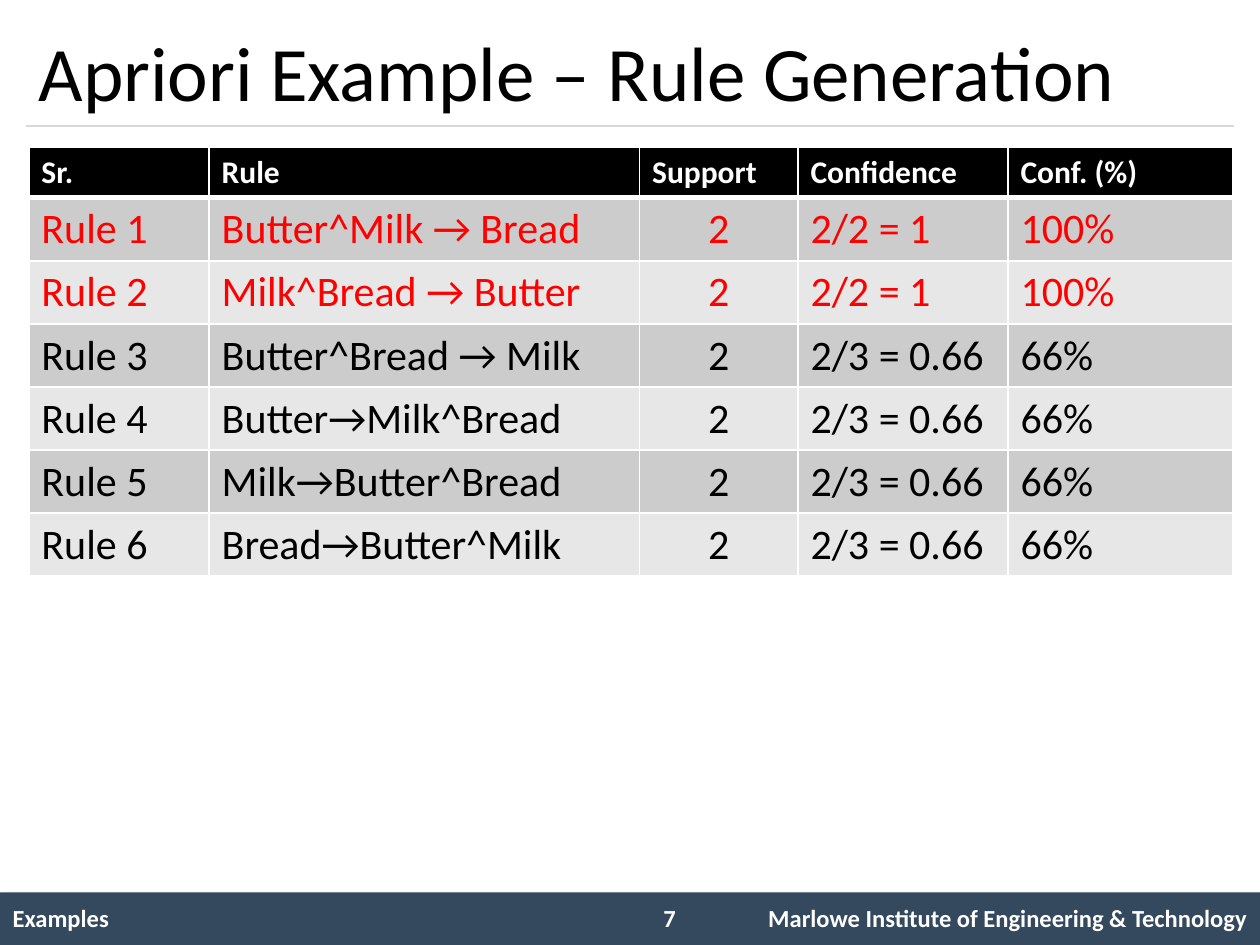
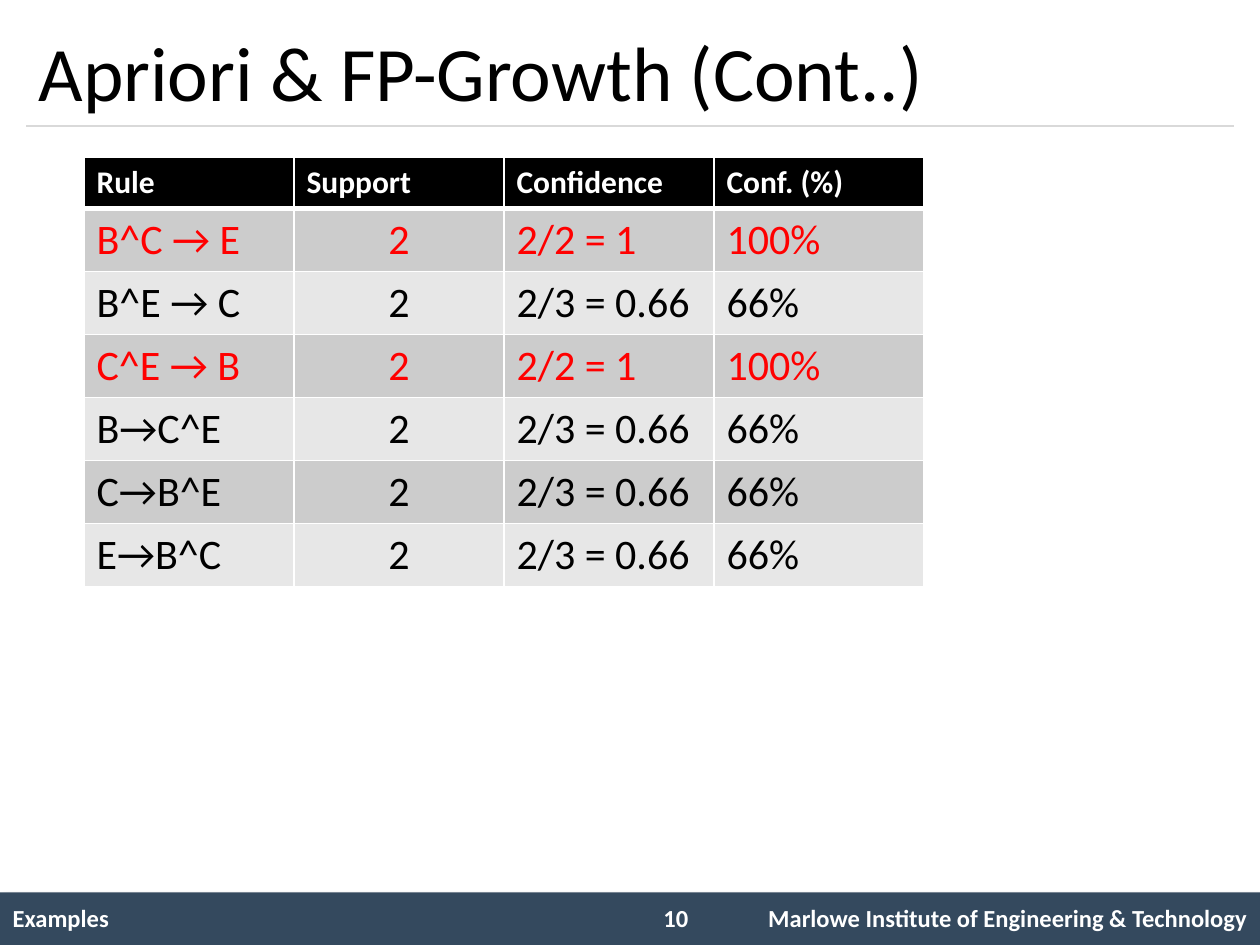
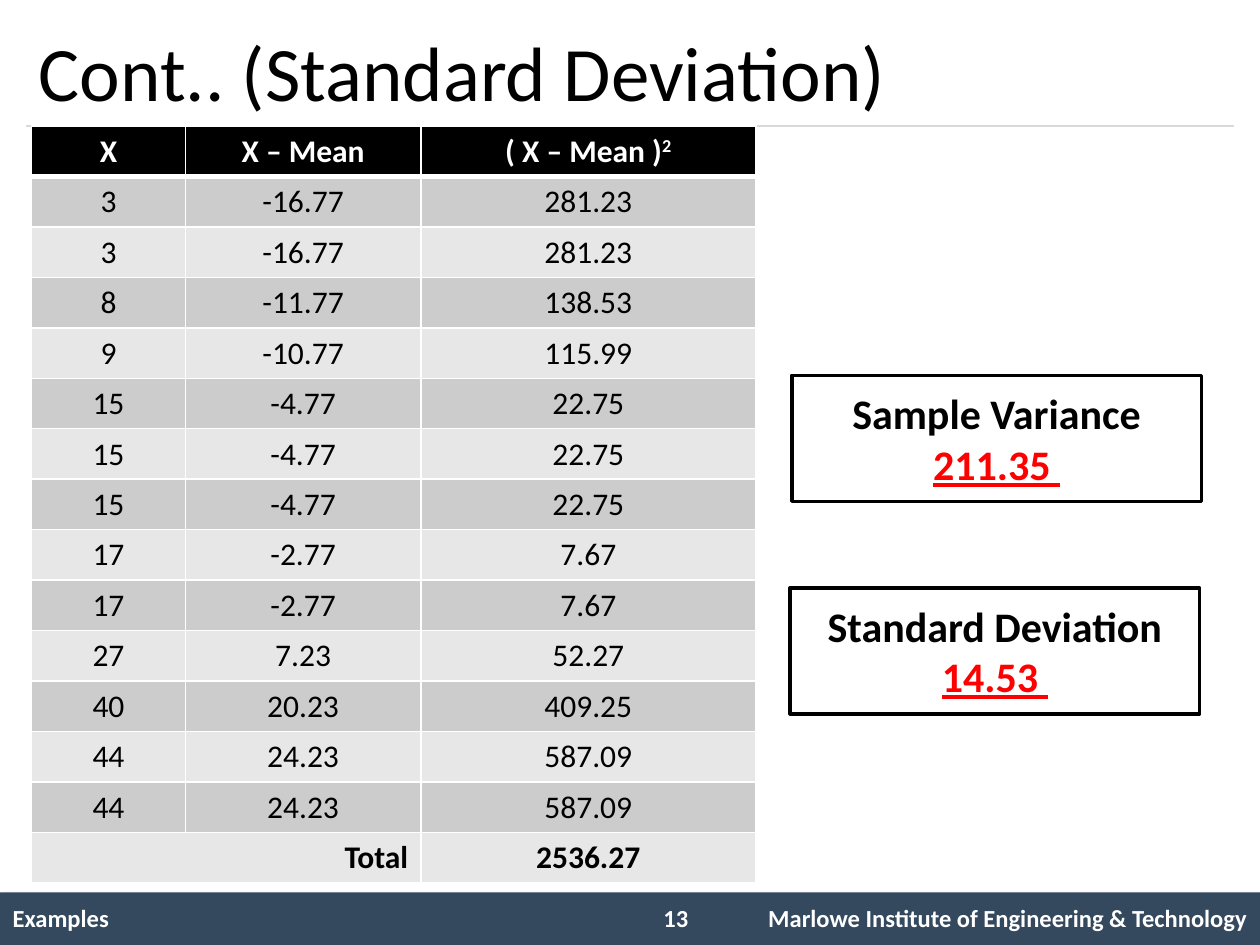
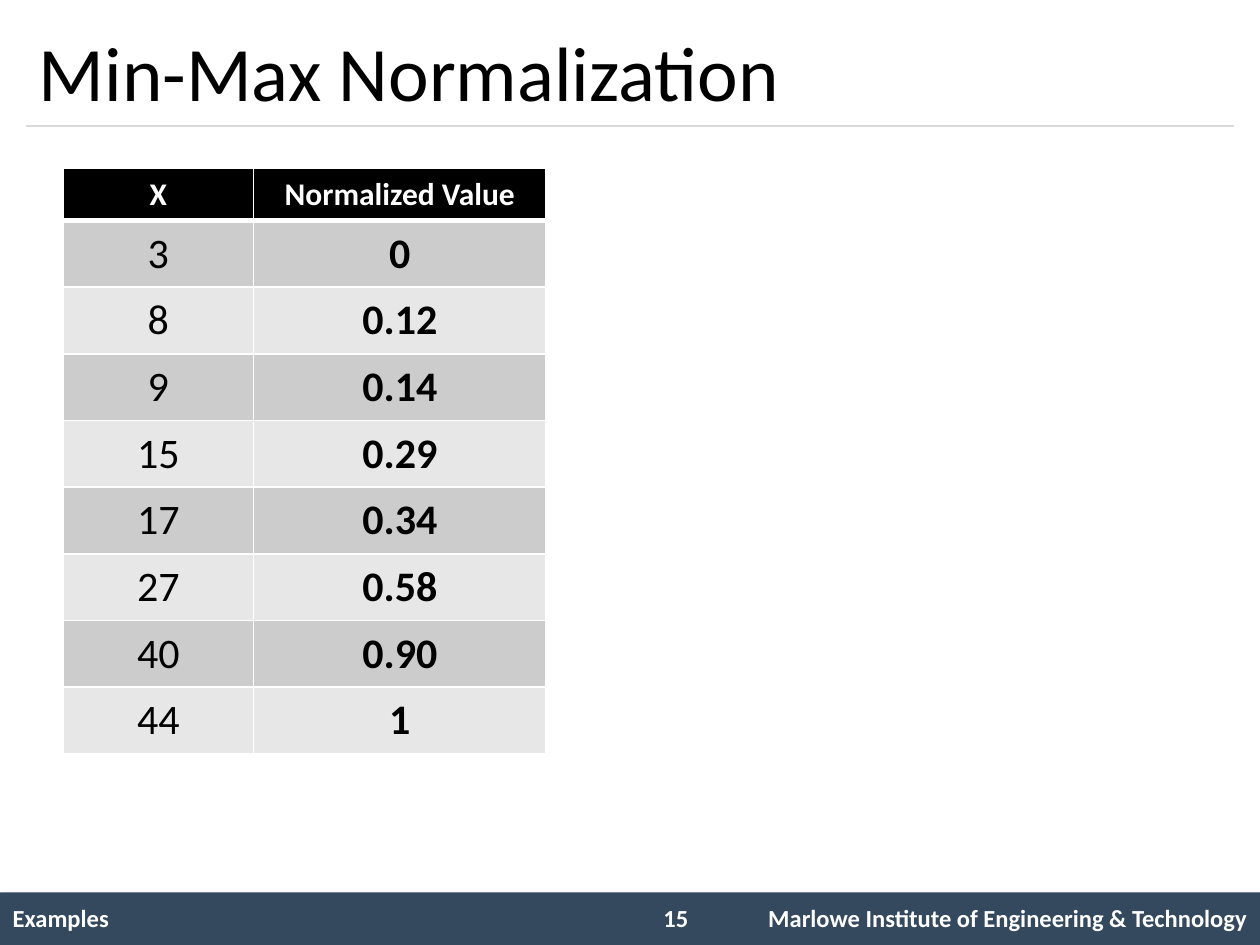
from dataclasses import dataclass

from lxml.etree import SubElement
from pptx import Presentation
from pptx.dml.color import RGBColor
from pptx.enum.shapes import MSO_CONNECTOR as Connector, MSO_SHAPE as Shape
from pptx.enum.text import MSO_ANCHOR as Anchor, MSO_AUTO_SIZE as AutoSize, PP_ALIGN as Align
from pptx.oxml import parse_xml
from pptx.oxml.ns import nsdecls, qn
from pptx.util import Pt


@dataclass(frozen=True)
class Theme:
    font: str = "Calibri"
    black: str = "000000"
    white: str = "FFFFFF"
    red: str = "FF0000"
    band: str = "34495E"
    divider: str = "D9D9D9"
    stripes: tuple = ("CCCCCC", "E7E7E7")
    title_size: int = 44
    large_size: int = 24
    table_size: int = 18
    footer_size: int = 14


theme = Theme()
rgb = RGBColor.from_string
PLAIN_STYLE = "{2D5ABB26-0587-4C30-8999-92F81FD0307C}"  # no fill, no grid


def add_span(para, text, size, color=theme.black, bold=False):
    span = para.add_run()
    span.text = text
    span.font.name = theme.font
    span.font.size = Pt(size)
    span.font.bold = bold
    span.font.color.rgb = rgb(color)
    return span


def add_plain_table(page, left, top, widths, heights):
    """Add a table without any style, sized by its columns and rows in points."""
    table = page.shapes.add_table(len(heights), len(widths), Pt(left), Pt(top),
                                  Pt(sum(widths)), Pt(sum(heights))).table
    table.first_row = table.horz_banding = False
    table._tbl.tblPr.find(qn("a:tableStyleId")).text = PLAIN_STYLE
    for column, width in zip(table.columns, widths):
        column.width = Pt(width)
    for row, height in zip(table.rows, heights):
        row.height = Pt(height)
    return table


SURE = ("2", "2/2 = 1", "100%")
LIKELY = ("2", "2/3 = 0.66", "66%")
RULE_HEADER = ("Rule", "Support", "Confidence", "Conf. (%)")
RULE_HEIGHTS = [29] + [36] * 6

basket_rules = [
    ("Butter^Milk → Bread", *SURE),
    ("Milk^Bread → Butter", *SURE),
    ("Butter^Bread → Milk", *LIKELY),
    ("Butter→Milk^Bread", *LIKELY),
    ("Milk→Butter^Bread", *LIKELY),
    ("Bread→Butter^Milk", *LIKELY),
]
letter_rules = [
    ("B^C → E", *SURE),
    ("B^E → C", *LIKELY),
    ("C^E → B", *SURE),
    ("B→C^E", *LIKELY),
    ("C→B^E", *LIKELY),
    ("E→B^C", *LIKELY),
]
samples = (3, 3, 8, 9, 15, 15, 15, 17, 17, 27, 40, 44, 44)
MEAN = 19.77
deviations = [(str(x), f"{x - MEAN:.2f}", f"{(x - MEAN) ** 2:.2f}") for x in samples]
normalized = [("3", "0"), ("8", "0.12"), ("9", "0.14"), ("15", "0.29"),
              ("17", "0.34"), ("27", "0.58"), ("40", "0.90"), ("44", "1")]

pages = [
    dict(title="Apriori Example – Rule Generation", number=7, corner=(16.5, 84),
         widths=(103, 246, 90.5, 120, 128.5), heights=RULE_HEIGHTS,
         header=("Sr.", *RULE_HEADER),
         rows=[(f"Rule {i}", *rule) for i, rule in enumerate(basket_rules, 1)],
         size=theme.large_size, anchor=Anchor.TOP, centred=(2,), bold=()),
    dict(title="Apriori & FP-Growth (Cont..)", number=10, corner=(48, 90),
         widths=[120] * 4, heights=RULE_HEIGHTS, header=RULE_HEADER, rows=letter_rules,
         size=theme.large_size, anchor=Anchor.TOP, centred=(1,), bold=()),
    dict(title="Cont.. (Standard Deviation)", number=13, corner=(18, 72),
         widths=(88, 134.5, 191.5), heights=[28.8] * 15,
         header=("X", "X – Mean", "( X – Mean )"),
         rows=deviations + [("Total", "", "2536.27")],
         size=theme.table_size, anchor=Anchor.MIDDLE, centred=(0, 1, 2), bold=()),
    dict(title="Min-Max Normalization", number=15, corner=(36, 96),
         widths=(109, 167), heights=[30] + [38.1] * 8,
         header=("X", "Normalized Value"), rows=normalized,
         size=theme.large_size, anchor=Anchor.MIDDLE, centred=(0, 1), bold=(1,)),
]

deck = Presentation()
deck.slide_width, deck.slide_height = Pt(720), Pt(540)
tables = []

for content in pages:
    page = deck.slides.add_slide(deck.slide_layouts[6])

    # Footer band and title divider
    band = page.shapes.add_shape(Shape.RECTANGLE, 0, Pt(510), Pt(720), Pt(30))
    band.fill.solid()
    band.fill.fore_color.rgb = rgb(theme.band)
    band.line.fill.background()
    band._element.spPr.append(parse_xml(
        f'<a:effectLst {nsdecls("a")}><a:outerShdw blurRad="{Pt(4)}" dist="{Pt(3)}" '
        f'dir="2700000"><a:srgbClr val="{theme.black}"><a:alpha val="40000"/></a:srgbClr>'
        '</a:outerShdw></a:effectLst>'))
    divider = page.shapes.add_connector(Connector.STRAIGHT, Pt(15), Pt(72), Pt(705), Pt(72))
    divider.line.color.rgb = rgb(theme.divider)
    divider.line.width = Pt(0.75)
    SubElement(divider._element.spPr, qn("a:effectLst"))

    # Footer wording and page number
    footer = add_plain_table(page, 0, 510, (366, 48, 306), [30.6])
    for column, text, align in ((0, "Examples", Align.LEFT),
                                (2, "Marlowe Institute of Engineering & Technology", Align.RIGHT)):
        cell = footer.cell(0, column)
        cell.vertical_anchor = Anchor.MIDDLE
        para = cell.text_frame.paragraphs[0]
        para.alignment = align
        add_span(para, text, theme.footer_size, theme.white, True)
    number_box = page.shapes.add_textbox(Pt(372), Pt(512.5), Pt(42), Pt(24.25))
    number_box.text_frame.word_wrap = True
    number_box.text_frame.auto_size = AutoSize.SHAPE_TO_FIT_TEXT
    add_span(number_box.text_frame.paragraphs[0], str(content["number"]),
             theme.footer_size, theme.white, True)

    title_box = page.shapes.add_textbox(Pt(15), Pt(9), Pt(690), Pt(63))
    title_box.text_frame.word_wrap = True
    title_box.text_frame.vertical_anchor = Anchor.MIDDLE
    add_span(title_box.text_frame.paragraphs[0], content["title"], theme.title_size)

    # Data table
    table = add_plain_table(page, *content["corner"], content["widths"], content["heights"])
    tables.append(table)
    for i, values in enumerate([content["header"], *content["rows"]]):
        is_header, is_total = i == 0, values[0] == "Total"
        if is_total:
            table.cell(i, 0).merge(table.cell(i, 1))
        if is_header:
            fill, color, size = theme.black, theme.white, theme.table_size
        else:
            fill, size = theme.stripes[(i - 1) % 2], content["size"]
            color = theme.red if values[-1] == "100%" else theme.black
        for j, text in enumerate(values):
            cell = table.cell(i, j)
            cell.vertical_anchor = content["anchor"]
            for side in "LRTB":
                heavy = (is_header and side == "B") or (i == 1 and side == "T")
                cell._tc.get_or_add_tcPr().append(parse_xml(
                    f'<a:ln{side} {nsdecls("a")} w="{Pt(3 if heavy else 1)}"><a:solidFill>'
                    f'<a:srgbClr val="{theme.white}"/></a:solidFill></a:ln{side}>'))
            cell.fill.solid()
            cell.fill.fore_color.rgb = rgb(fill)
            para = cell.text_frame.paragraphs[0]
            top_aligned_header = is_header and content["anchor"] == Anchor.TOP
            if is_total and j == 0:
                para.alignment = Align.RIGHT
            elif j in content["centred"] and not top_aligned_header:
                para.alignment = Align.CENTER
            if text:
                add_span(para, text, size, color, is_header or is_total or j in content["bold"])

# Standard deviation: squared heading and the two results
deviation_page, deviation_table = deck.slides[2], tables[2]
power = add_span(deviation_table.cell(0, 2).text_frame.paragraphs[0], "2",
                 theme.table_size, theme.white, True)
power.font._element.set("baseline", "30000")

for left, top, lines in (
    (451.5, 336, [("Standard Deviation ", "14.53 ")]),
    (452.5, 214.5, [("Sample Variance",), ("", "211.35 ")]),
):
    result_box = deviation_page.shapes.add_shape(Shape.RECTANGLE, Pt(left), Pt(top), Pt(234), Pt(72))
    result_box.shadow.inherit = False
    result_box.fill.solid()
    result_box.fill.fore_color.rgb = rgb(theme.white)
    result_box.line.color.rgb = rgb(theme.black)
    result_box.line.width = Pt(2)
    frame = result_box.text_frame
    frame.word_wrap = True
    frame.vertical_anchor = Anchor.MIDDLE
    for k, (label, *result) in enumerate(lines):
        para = frame.add_paragraph() if k else frame.paragraphs[0]
        para.alignment = Align.CENTER
        if label:
            add_span(para, label, theme.large_size, bold=True)
        for text in result:
            add_span(para, text, theme.large_size, theme.red, True).font.underline = True

deck.save("out.pptx")
